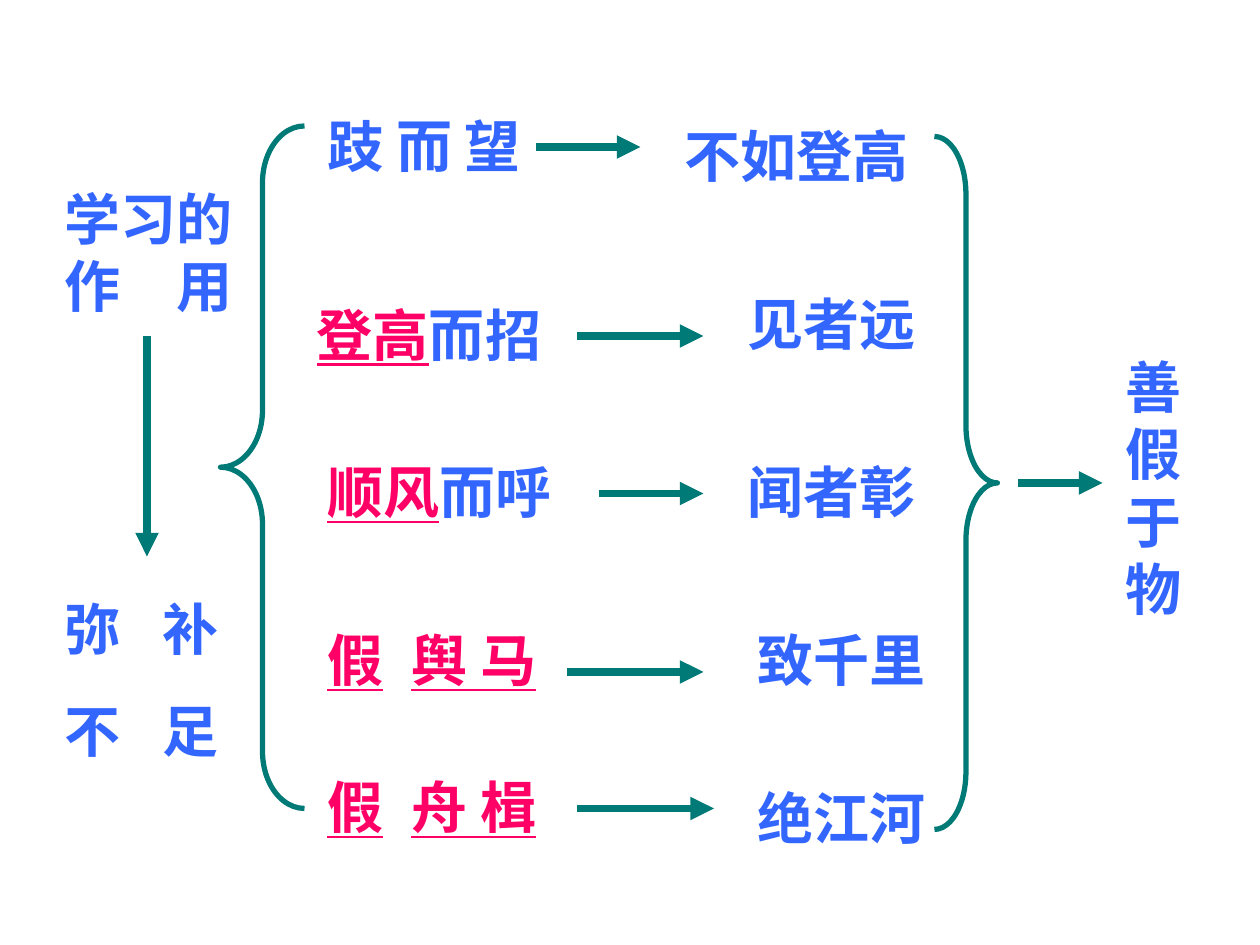
"""Builds a one-slide diagram of how learning makes up for shortcomings."""
from typing import NamedTuple

from lxml import etree
from pptx import Presentation
from pptx import util as u
from pptx.dml.color import RGBColor
from pptx.enum import shapes, text
from pptx.oxml.ns import qn

COLORS = {"blue": "3366FF", "pink": "FF0066", "teal": "007A77"}
FONT = "Times New Roman"
COLUMNS, ROWS = 120, 90
CELL = u.Inches(10) // COLUMNS
LINE_HEIGHT = 7.7


class Label(NamedTuple):
    """Text box on the grid; pink text is underlined and precedes blue text."""
    column: float
    row: float
    width: float
    blue: tuple[str, ...] = ()
    pink: str = ""
    height: float = LINE_HEIGHT
    tab: float = 0


class Arrow(NamedTuple):
    """Straight arrow between two grid points."""
    column: float
    row: float
    end_column: float
    end_row: float


class Brace(NamedTuple):
    """Curly brace on the grid."""
    kind: shapes.MSO_SHAPE
    column: float
    row: float
    width: float
    height: float


LABELS = [
    Label(5, 17, 22, ("学习的作\t用",), height=14, tab=10.67),
    Label(5, 56, 28, ("弥\t补", "不\t足"), height=17.4, tab=9.33),
    Label(30, 10, 49, ("跂 而 望",)),
    Label(29, 28, 29, ("而招",), "登高"),
    Label(30, 43, 32, ("而呼",), "顺风"),
    Label(30, 59, 31, pink="假\t舆 马", tab=8),
    Label(30, 73, 34, pink="假\t舟 楫", tab=8),
    Label(64, 11, 40, ("不如登高",)),
    Label(70, 27, 19, ("见者远",)),
    Label(70, 43, 20, ("闻者彰",)),
    Label(71, 59, 19, ("致千里",)),
    Label(71, 74, 19, ("绝江河",)),
    Label(106, 33, 10, ("善假于物",), height=26.9),
]
ARROWS = [
    Arrow(14, 32, 14, 53),
    Arrow(51, 14, 61, 14),
    Arrow(55, 32, 67, 32),
    Arrow(57, 47, 67, 47),
    Arrow(54, 64, 67, 64),
    Arrow(55, 77, 68, 77),
    Arrow(97, 46, 105, 46),
]
BRACES = [
    Brace(shapes.MSO_SHAPE.LEFT_BRACE, 21, 12, 8, 65),
    Brace(shapes.MSO_SHAPE.RIGHT_BRACE, 89, 13, 6, 66),
]


def grid(*counts: float) -> list[int]:
    """Turn counts of grid cells into lengths."""
    return [round(count * CELL) for count in counts]


def add_run(paragraph, content: str, *, color: str, underline: bool = False) -> None:
    """Add one bold run in the slide's font."""
    run = paragraph.add_run()
    run.text = content
    font = run.font
    font.name, font.size, font.bold = FONT, u.Pt(32), True
    font.underline = underline
    font.color.rgb = RGBColor.from_string(COLORS[color])


def add_tab_stop(paragraph, position: float) -> None:
    """Give a paragraph one left tab stop."""
    tabs = etree.SubElement(paragraph._p.get_or_add_pPr(), qn("a:tabLst"))
    etree.SubElement(tabs, qn("a:tab"), pos=str(grid(position)[0]), algn="l")


def add_label(slide, label: Label) -> None:
    """Draw a text box with one paragraph for each blue text."""
    shape = slide.shapes.add_textbox(
        *grid(label.column, label.row, label.width, label.height))
    frame = shape.text_frame
    frame.word_wrap = True
    frame.auto_size = text.MSO_AUTO_SIZE.SHAPE_TO_FIT_TEXT
    for index, content in enumerate(label.blue or ("",)):
        paragraph = frame.add_paragraph() if index else frame.paragraphs[0]
        if index:
            paragraph.space_before = u.Pt(20)
        if label.tab:
            add_tab_stop(paragraph, label.tab)
        if label.pink and not index:
            add_run(paragraph, label.pink, color="pink", underline=True)
        if content:
            add_run(paragraph, content, color="blue")


def format_line(line, width: float) -> None:
    """Set the shared line colour and a width in points."""
    line.color.rgb = RGBColor.from_string(COLORS["teal"])
    line.width = u.Pt(width)


def add_arrow(slide, arrow: Arrow) -> None:
    """Draw a connector with a triangle at its end."""
    connector = slide.shapes.add_connector(
        shapes.MSO_CONNECTOR.STRAIGHT, *grid(*arrow))
    format_line(connector.line, 4.5)
    etree.SubElement(connector.line._get_or_add_ln(), qn("a:tailEnd"), type="triangle")
    etree.SubElement(connector._element.spPr, qn("a:effectLst"))


def add_brace(slide, brace: Brace) -> None:
    """Draw a brace whose four curves each take a twelfth of its height."""
    shape = slide.shapes.add_shape(brace.kind, *grid(*brace[1:]))
    shape.adjustments[0] = brace.height / 12 / brace.width
    shape.shadow.inherit = False
    shape.fill.background()
    format_line(shape.line, 3)


def main() -> None:
    """Build and save the presentation."""
    presentation = Presentation()
    presentation.slide_width, presentation.slide_height = grid(COLUMNS, ROWS)
    slide = presentation.slides.add_slide(presentation.slide_layouts[6])
    for draw, items in ((add_brace, BRACES), (add_label, LABELS), (add_arrow, ARROWS)):
        for item in items:
            draw(slide, item)
    presentation.save("out.pptx")


if __name__ == "__main__":
    main()
